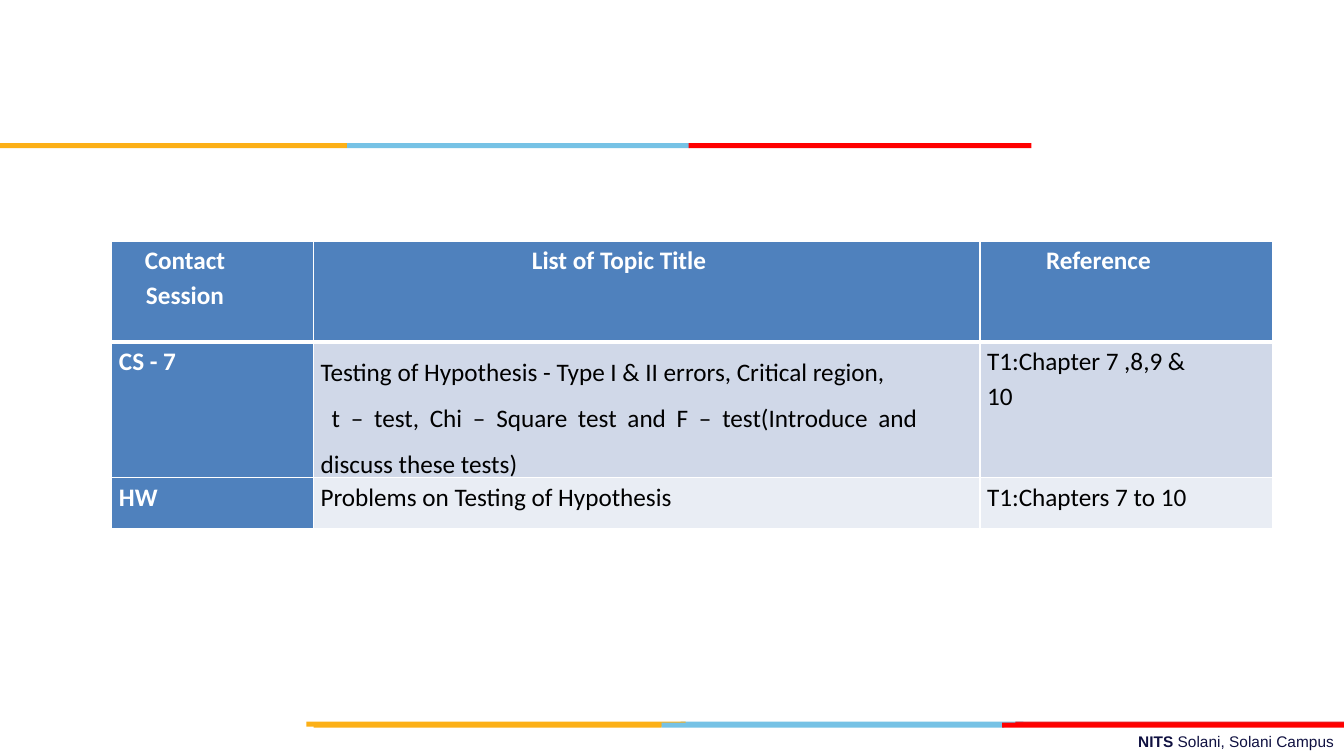
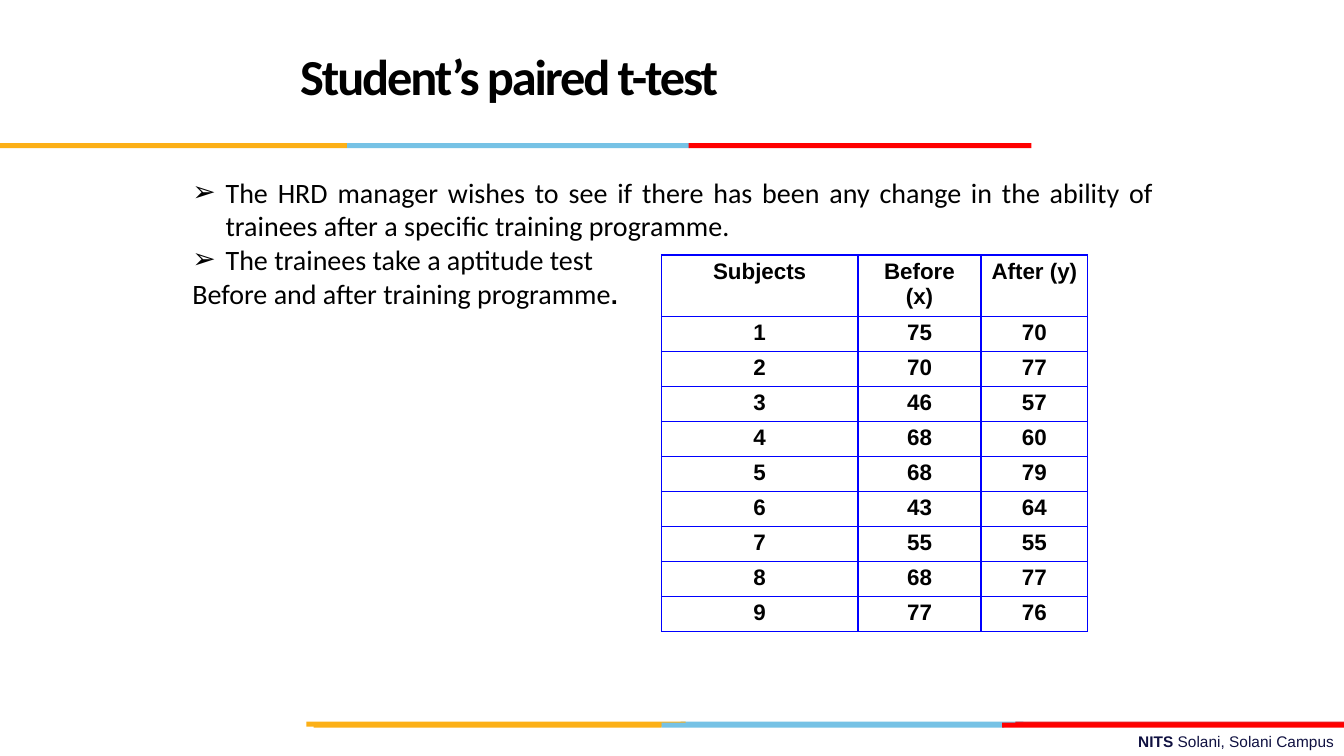
from dataclasses import dataclass

from lxml import etree
from pptx import Presentation
from pptx import util as u
from pptx.dml.color import RGBColor
from pptx.enum import shapes, text
from pptx.oxml import ns

SCALE = 9144
COLORS = {
    "black": "000000",
    "white": "FFFFFF",
    "navy": "101141",
    "amber": "FCB017",
    "sky": "76C2E5",
    "crimson": "E31C24",
    "red": "FF0000",
    "header": "4F81BD",
    "row_dark": "D0D8E8",
    "row_light": "E9EDF4",
    "grid": "0000FF",
}
ALIGN = text.PP_ALIGN
BULLET = "➢"


@dataclass(frozen=True)
class Band:
    left: int
    top: int
    width: int
    color: str


@dataclass(frozen=True)
class Insets:
    left: int
    top: int
    right: int
    bottom: int


@dataclass(frozen=True)
class Topic:
    session: str
    title: tuple[str, ...]
    reference: str
    color: str


BAND_HEIGHT = 5
BANDS = (
    Band(675, 716, 340, "sky"),
    Band(1007, 716, 326, "crimson"),
    Band(304, 716, 376, "amber"),
    Band(656, 717, 340, "sky"),
    Band(311, 717, 345, "amber"),
    Band(994, 717, 339, "red"),
    Band(344, 142, 340, "sky"),
    Band(0, 142, 344, "amber"),
    Band(683, 142, 340, "red"),
)
TEXT_INSETS = Insets(10, 5, 10, 5)
TOPIC_INSETS = Insets(7, 0, 62, 0)
SCORE_INSETS = Insets(10, 4, 10, 4)

TOPIC_HEADINGS = ("Contact Session", "List of Topic Title", "Reference")
TOPICS = (
    Topic(
        "CS - 7",
        (
            "Testing of Hypothesis - Type I & II errors, Critical region,",
            "t – test, Chi – Square test and F – test(Introduce and discuss these tests)",
        ),
        "T1:Chapter 7 ,8,9 & 10",
        "row_dark",
    ),
    Topic("HW", ("Problems on Testing of Hypothesis",), "T1:Chapters 7 to 10", "row_light"),
)
SCORE_HEADINGS = ("Subjects", "Before (x)", "After (y)")
BEFORE = (75, 70, 46, 68, 68, 43, 55, 68, 77)
AFTER = (70, 77, 57, 60, 79, 64, 55, 77, 76)


def px(length: int) -> u.Emu:
    return u.Emu(length * SCALE)


def rgb(name: str) -> RGBColor:
    return RGBColor.from_string(COLORS[name])


def add_span(para, words: str, *, size: float, font: str = "Calibri",
             color: str = "black", bold: bool = False, spacing: int = 0) -> None:
    span = para.add_run()
    span.text = words
    span.font.size = u.Pt(size)
    span.font.name = font
    span.font.bold = bold
    span.font.color.rgb = rgb(color)
    if spacing:
        span.font._element.set("spc", str(spacing))


def add_para(frame, words: str, *, align=ALIGN.LEFT, line=None, bullet: str = "",
             margin: int = 0, indent: int = 0, **style):
    first = frame.paragraphs[0]
    para = frame.add_paragraph() if first.runs else first
    para.alignment = align
    if line is not None:
        para.line_spacing = line
    properties = para._p.get_or_add_pPr()
    properties.set("marL", str(px(margin)))
    properties.set("indent", str(px(indent)))
    if bullet:
        etree.SubElement(properties, ns.qn("a:buFont")).set("typeface", "Arial")
        etree.SubElement(properties, ns.qn("a:buChar")).set("char", bullet)
    add_span(para, words, **style)
    return para


def add_box(page, left: int, top: int, width: int, height: int,
            anchor=text.MSO_ANCHOR.TOP):
    box = page.shapes.add_textbox(px(left), px(top), px(width), px(height))
    frame = box.text_frame
    frame.word_wrap = True
    frame.vertical_anchor = anchor
    set_insets(frame, TEXT_INSETS)
    return frame


def set_insets(target, insets: Insets) -> None:
    target.margin_left = px(insets.left)
    target.margin_top = px(insets.top)
    target.margin_right = px(insets.right)
    target.margin_bottom = px(insets.bottom)


def add_grid(page, left: int, top: int, columns: list[int], rows: list[int]):
    frame = page.shapes.add_table(len(rows), len(columns), px(left), px(top),
                                  px(sum(columns)), px(sum(rows)))
    table = frame.table
    table.first_row = False
    table.horz_banding = False
    for column, width in zip(table.columns, columns):
        column.width = px(width)
    for row, height in zip(table.rows, rows):
        row.height = px(height)
    return table


def style_cell(cell, insets: Insets, border: str, fill: str = "",
               top: int = 1, bottom: int = 1) -> None:
    set_insets(cell, insets)
    properties = cell._tc.get_or_add_tcPr()
    for side, weight in (("L", 1), ("R", 1), ("T", top), ("B", bottom)):
        line = etree.SubElement(properties, ns.qn(f"a:ln{side}"))
        line.set("w", str(u.Pt(weight)))
        solid = etree.SubElement(line, ns.qn("a:solidFill"))
        etree.SubElement(solid, ns.qn("a:srgbClr")).set("val", COLORS[border])
    if fill:
        cell.fill.solid()
        cell.fill.fore_color.rgb = rgb(fill)
    else:
        cell.fill.background()


def add_page(deck):
    page = deck.slides.add_slide(deck.slide_layouts[6])
    footer = add_box(page, 478, 721, 855, 29)
    style = dict(size=11, font="Arial", color="navy")
    para = add_para(footer, "NITS ", align=ALIGN.RIGHT, bold=True, **style)
    add_span(para, "Solani, Solani Campus", **style)
    for band in BANDS:
        shape = page.shapes.add_shape(shapes.MSO_SHAPE.RECTANGLE, px(band.left),
                                      px(band.top), px(band.width), px(BAND_HEIGHT))
        shape.shadow.inherit = False
        shape.fill.solid()
        shape.fill.fore_color.rgb = rgb(band.color)
        shape.line.fill.background()
    return page


def add_topics(page) -> None:
    table = add_grid(page, 111, 239, [200, 661, 290], [100, 134, 50])
    heading = dict(size=18, color="white", bold=True, line=1.15)
    for column, words in enumerate(TOPIC_HEADINGS):
        cell = table.cell(0, column)
        style_cell(cell, TOPIC_INSETS, "white", "header", bottom=3)
        add_para(cell.text_frame, words, align=ALIGN.CENTER, **heading)
    for row, topic in enumerate(TOPICS, 1):
        session, title, reference = (table.cell(row, column) for column in range(3))
        for cell, fill in ((session, "header"), (title, topic.color), (reference, topic.color)):
            style_cell(cell, TOPIC_INSETS, "white", fill, top=3 if row == 1 else 1)
        add_para(session.text_frame, topic.session, **heading)
        several = len(topic.title) > 1
        for order, words in enumerate(topic.title):
            add_para(title.text_frame, words, size=18, indent=11 * order,
                     align=ALIGN.JUSTIFY if several else ALIGN.LEFT,
                     line=1.5 if several else 1.15)
        add_para(reference.text_frame, topic.reference, size=18, line=1.15)


def add_test(page) -> None:
    title = add_box(page, 44, 17, 922, 125, text.MSO_ANCHOR.MIDDLE)
    add_para(title, "Student’s paired t-test", align=ALIGN.CENTER, line=u.Pt(36),
             size=36, bold=True, spacing=-150)

    body = add_box(page, 181, 169, 973, 431)
    style = dict(size=20, align=ALIGN.JUSTIFY)
    for words in (
        "The HRD manager wishes to see if there has been any change in the ability of "
        "trainees after a specific training programme.",
        "The trainees take a aptitude test",
    ):
        add_para(body, words, bullet=BULLET, margin=33, indent=-33, **style)
    para = add_para(body, "Before and after training programme", **style)
    add_span(para, ".", size=18.2, font="Arial", bold=True)


def add_scores(page) -> None:
    scores = [SCORE_HEADINGS, *zip(range(1, len(BEFORE) + 1), BEFORE, AFTER)]
    table = add_grid(page, 656, 253, [195, 122, 106], [57] + [33] * len(BEFORE))
    for row, values in enumerate(scores):
        for column, value in enumerate(values):
            cell = table.cell(row, column)
            style_cell(cell, SCORE_INSETS, "grid")
            add_para(cell.text_frame, str(value), align=ALIGN.CENTER,
                     size=16, font="Arial", bold=True)


def main() -> None:
    deck = Presentation()
    deck.slide_width = px(1333)
    deck.slide_height = px(750)
    add_topics(add_page(deck))
    test_page = add_page(deck)
    add_test(test_page)
    add_scores(test_page)
    deck.save("out.pptx")


if __name__ == "__main__":
    main()
